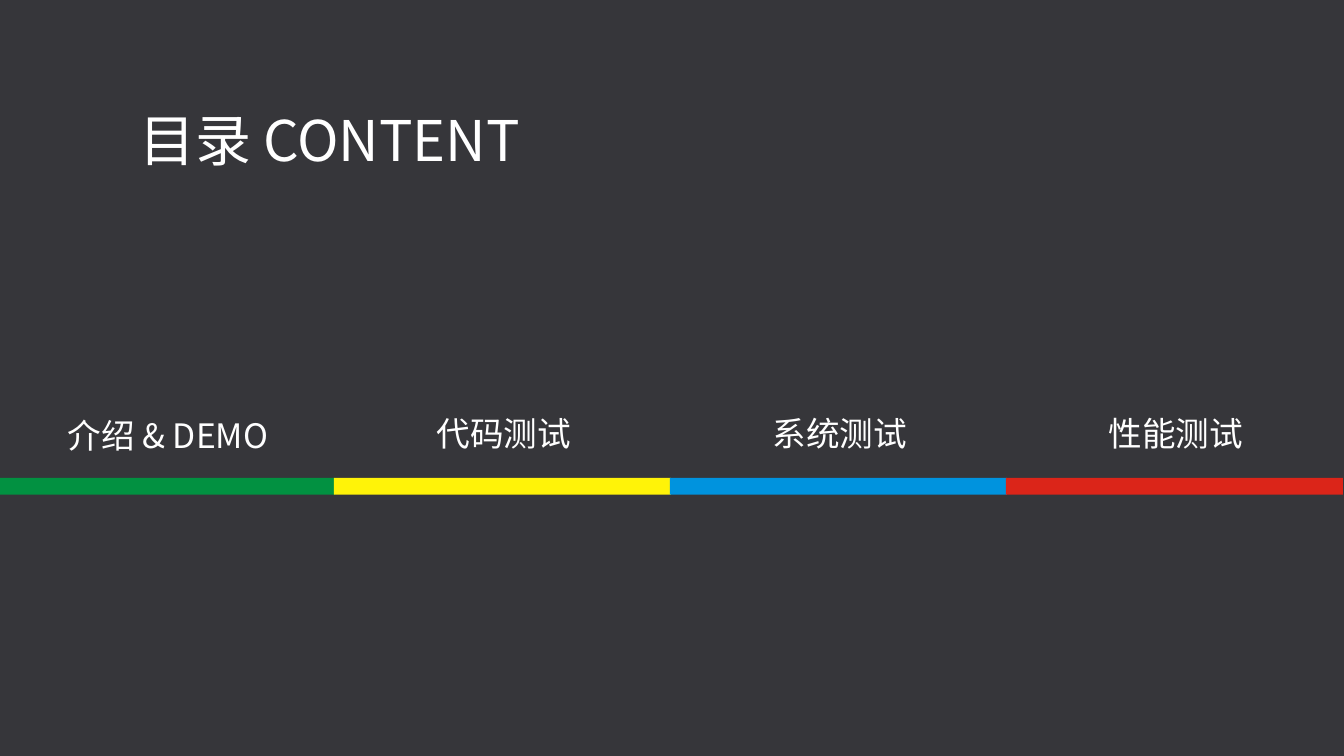
from pptx import Presentation
from pptx.dml.color import RGBColor
from pptx.enum.shapes import MSO_SHAPE as Shape
from pptx.enum.text import MSO_ANCHOR as Anchor, MSO_AUTO_SIZE as Fit, PP_ALIGN as Align
from pptx.oxml.ns import qn
from pptx.util import Pt
from lxml.etree import SubElement

PX = 9525
FONT = "Noto Sans CJK SC"
WHITE, DARK = "FFFFFF", "36363A"
LEFT, PITCH = -2, 320

# Name, strip colour, label width, label top and height
TOPICS = [
    ("介绍 & DEMO", "029141", 264, 361, 77),
    ("代码测试", "FFF308", 276, 362, 74),
    ("系统测试", "0093DE", 160, 376, 60),
    ("性能测试", "DB2519", 174, 376, 60),
]


def paint(fill, color):
    fill.solid()
    fill.fore_color.rgb = RGBColor.from_string(color)


def place(item, box):
    item.left, item.top, item.width, item.height = (n * PX for n in box)


def write(holder, box, text, size, align, anchor):
    place(holder, box)
    frame = holder.text_frame
    frame.word_wrap = True
    frame.auto_size = Fit.NONE
    frame.vertical_anchor = anchor
    para = frame.paragraphs[0]
    para.alignment = align
    run = para.add_run()
    run.text = text
    font = run.font
    font.name, font.size, font.bold = FONT, Pt(size), False
    paint(font.fill, WHITE)
    SubElement(font._element, qn("a:ea"), typeface=FONT)
    return para


# Heading
def add_title(slide, box):
    write(slide.shapes.title, box, "目录 CONTENT", 40, Align.LEFT, Anchor.TOP)


# Coloured strip of one topic
def add_strip(slide, box, color):
    x, y, w, h = box
    strip = slide.shapes.add_shape(Shape.RECTANGLE, x * PX, y * PX, w * PX, h * PX)
    strip.shadow.inherit = False
    paint(strip.fill, color)
    strip.line.fill.background()


# Label centred above its strip
def add_label(holder, box, text):
    para = write(holder, box, text, 24, Align.CENTER, Anchor.BOTTOM)
    para.space_after = Pt(6)
    props = para._p.get_or_add_pPr()
    props.set("marL", str(4 * PX))
    props.set("indent", "0")
    SubElement(props, qn("a:buNone"))


def main():
    deck = Presentation()
    deck.slide_width, deck.slide_height = 1280 * PX, 720 * PX
    # The comparison layout has a title and four body placeholders
    slide = deck.slides.add_slide(deck.slide_layouts[4])
    paint(slide.background.fill, DARK)

    add_title(slide, (123, 96, 407, 74))
    for i, (name, color, width, top, height) in enumerate(TOPICS):
        x = LEFT + i * PITCH
        add_strip(slide, (x, 455, PITCH + 1, 16), color)
        box = (x + (PITCH - width) // 2, top, width, height)
        add_label(slide.placeholders[i + 1], box, name)

    deck.save("out.pptx")


if __name__ == "__main__":
    main()
